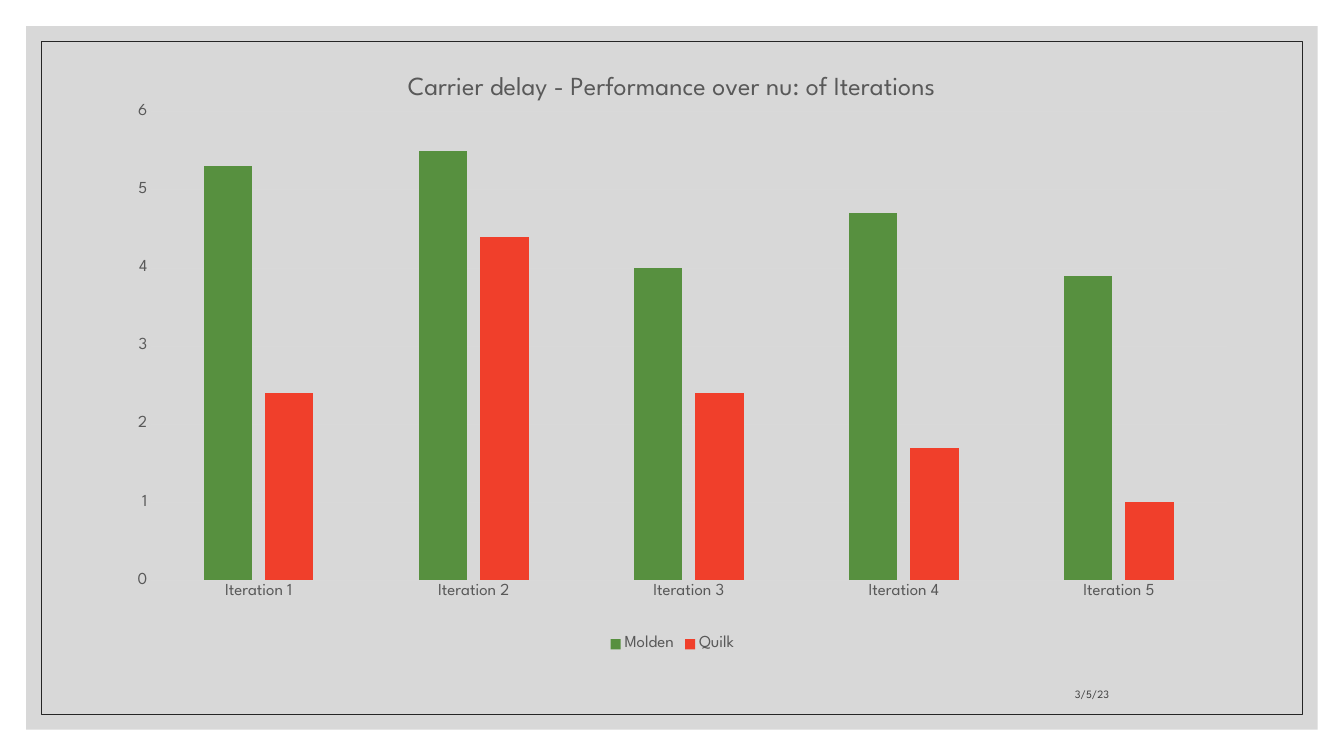
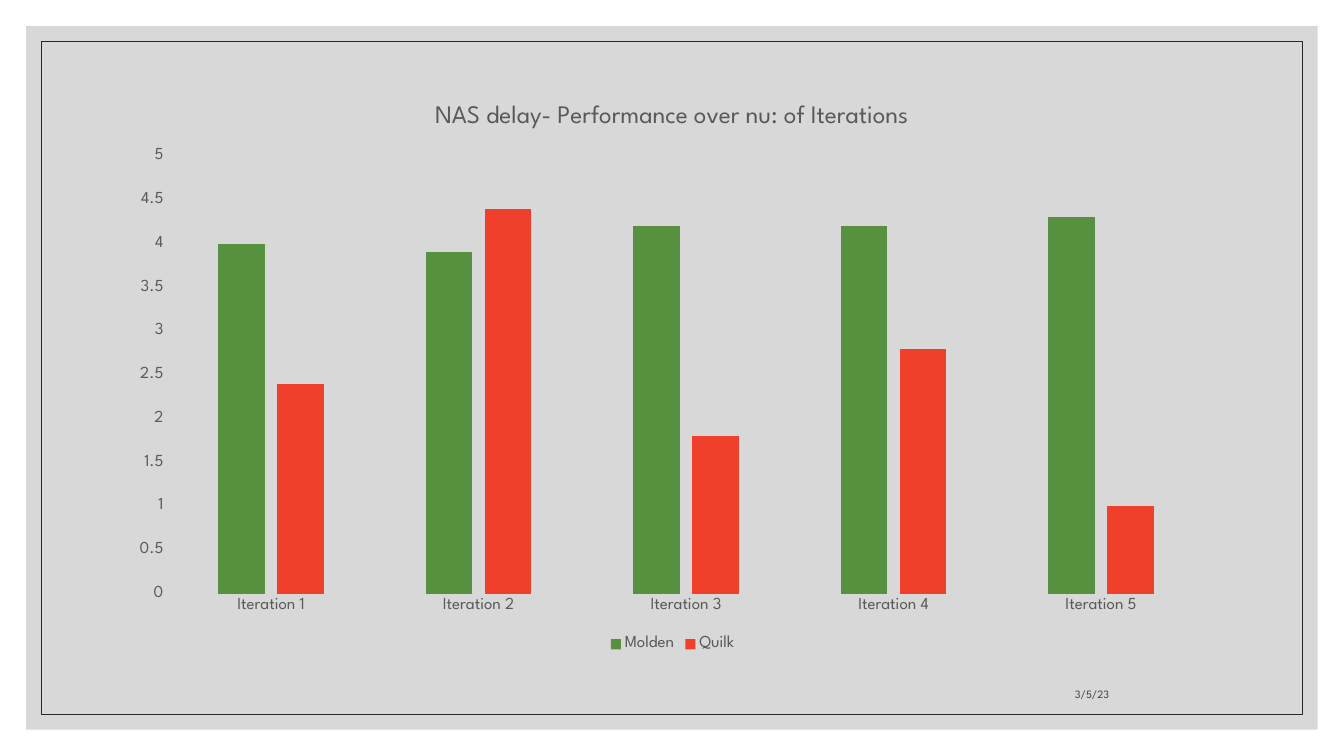
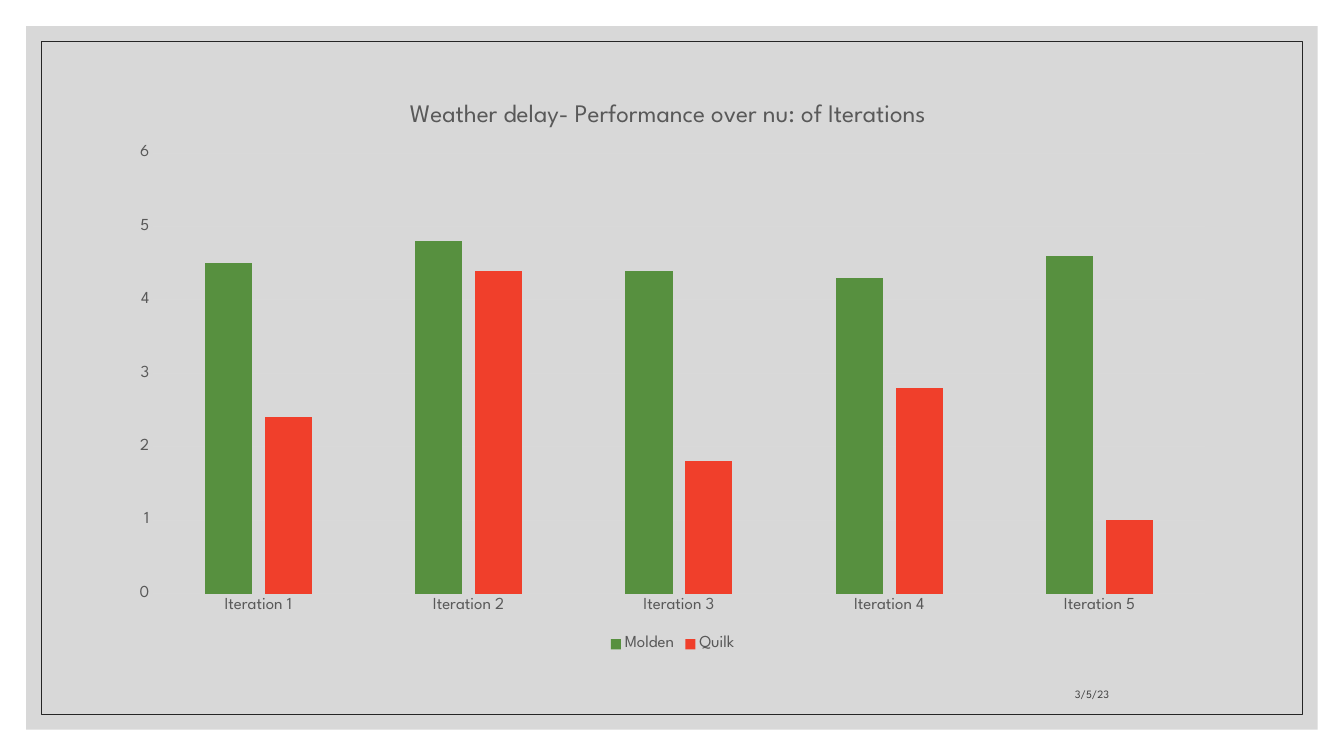
from lxml.etree import SubElement
from pptx import Presentation
from pptx.chart.data import CategoryChartData
from pptx.dml.color import RGBColor
from pptx.enum.chart import XL_CHART_TYPE, XL_LEGEND_POSITION, XL_TICK_MARK
from pptx.enum.shapes import MSO_SHAPE
from pptx.enum.text import MSO_ANCHOR, PP_ALIGN
from pptx.oxml import parse_xml
from pptx.oxml.ns import nsdecls, qn
from pptx.util import Inches, Pt

SILVER = RGBColor(0xBF, 0xBF, 0xBF)
INK = RGBColor(0x26, 0x26, 0x26)
DUSK = RGBColor(0x40, 0x40, 0x40)
GRAY = RGBColor(0x59, 0x59, 0x59)
PALE = RGBColor(0xD9, 0xD9, 0xD9)
BLACK = RGBColor(0, 0, 0)
GREEN = RGBColor(0x57, 0x90, 0x3F)
RED = RGBColor(0xF0, 0x3F, 0x2B)
FACE = "League Spartan"
WIDE, TALL = 13.33, 7.5
LEFT, WIDTH, BASE = 1.17, 11, 6.51
COLORS = {"Molden": GREEN, "Quilk": RED}

CHARTS = [
    {
        "title": "Carrier delay - Performance over nu: of Iterations",
        "size": 18.6,
        "top": 0.5,
        "spot": (2.83, 0.18),
        "plot": (0.33, 0.61, 10.67, 4.65),
        "axis": (6, 1),
        "Molden": (5.3, 5.5, 4, 4.7, 3.9),
        "Quilk": (2.4, 4.4, 2.4, 1.7, 1),
    },
    {
        "title": "NAS delay- Performance over nu: of Iterations",
        "size": 18,
        "top": 0.81,
        "spot": (3.1, 0.16),
        "plot": (0.49, 0.74, 10.29, 4.34),
        "axis": (5, 0.5),
        "Molden": (4, 3.9, 4.2, 4.2, 4.3),
        "Quilk": (2.4, 4.4, 1.8, 2.8, 1),
    },
    {
        "title": "Weather delay- Performance over nu: of Iterations",
        "size": 18,
        "top": 0.81,
        "spot": (2.85, 0.15),
        "plot": (0.35, 0.71, 10.43, 4.37),
        "axis": (6, 1),
        "Molden": (4.5, 4.8, 4.4, 4.3, 4.6),
        "Quilk": (2.4, 4.4, 1.8, 2.8, 1),
    },
]


def style(font, size, color):
    font.name = FACE
    font.size = Pt(size)
    font.bold = False
    font.color.rgb = color


def add_panel(slide, inset):
    panel = slide.shapes.add_shape(
        MSO_SHAPE.RECTANGLE, Inches(inset), Inches(inset),
        Inches(WIDE - 2 * inset), Inches(TALL - 2 * inset))
    panel.shadow.inherit = False
    return panel


def add_frame(slide):
    band = add_panel(slide, 0.26)
    band.fill.solid()
    band.fill.fore_color.rgb = SILVER
    band.line.fill.background()
    tint = band.element.find(".//" + qn("a:srgbClr"))
    SubElement(tint, qn("a:alpha")).set("val", "60000")
    rim = add_panel(slide, 0.41)
    rim.fill.background()
    rim.line.color.rgb = INK
    rim.line.width = Pt(0.5)


def add_date(slide, text):
    box = slide.shapes.add_textbox(
        Inches(7.94), Inches(6.6), Inches(3.16), Inches(0.4))
    frame = box.text_frame
    frame.word_wrap = True
    frame.vertical_anchor = MSO_ANCHOR.BOTTOM
    frame.text = text
    line = frame.paragraphs[0]
    line.alignment = PP_ALIGN.RIGHT
    style(line.runs[0].font, 8, DUSK)


def set_layout(node, index, rect, height, inner=False):
    for old in node.findall(qn("c:layout")):
        node.remove(old)
    layout = parse_xml(f"<c:layout {nsdecls('c')}><c:manualLayout/></c:layout>")
    parts = [("layoutTarget", "inner")] if inner else []
    parts += [("xMode", "edge"), ("yMode", "edge")]
    parts += [(key, str(value / full)) for key, value, full
              in zip("xywh", rect, (WIDTH, height, WIDTH, height))]
    for key, value in parts:
        SubElement(layout[0], qn("c:" + key)).set("val", value)
    node.insert(index, layout)


def style_axis(axis):
    axis.major_tick_mark = XL_TICK_MARK.NONE
    axis.minor_tick_mark = XL_TICK_MARK.NONE
    style(axis.tick_labels.font, 12, GRAY)


def style_line(line):
    line.color.rgb = PALE
    line.width = Pt(0.75)


def set_axes(chart, top, step):
    style_axis(chart.category_axis)
    style_line(chart.category_axis.format.line)
    scale = chart.value_axis
    style_axis(scale)
    scale.minimum_scale = 0
    scale.maximum_scale = top
    scale.major_unit = step
    scale.format.line.fill.background()
    style_line(scale.major_gridlines.format.line)


def add_columns(slide, item):
    height = BASE - item["top"]
    data = CategoryChartData()
    data.categories = [f"Iteration {n}" for n in range(1, 6)]
    for name in COLORS:
        data.add_series(name, item[name])
    chart = slide.shapes.add_chart(
        XL_CHART_TYPE.COLUMN_CLUSTERED, Inches(LEFT), Inches(item["top"]),
        Inches(WIDTH), Inches(height), data).chart
    style(chart.font, 10, BLACK)
    set_axes(chart, *item["axis"])

    plot = chart.plots[0]
    plot.vary_by_categories = False
    plot.gap_width = 219
    plot.overlap = -27
    for series in plot.series:
        series.invert_if_negative = False
        series.format.fill.solid()
        series.format.fill.fore_color.rgb = COLORS[series.name]

    chart.has_legend = True
    chart.legend.position = XL_LEGEND_POSITION.BOTTOM
    chart.legend.include_in_layout = False
    style(chart.legend.font, 12, GRAY)

    chart.has_title = True
    frame = chart.chart_title.text_frame
    frame.text = item["title"]
    style(frame.paragraphs[0].runs[0].font, item["size"], GRAY)

    root = chart.element.find(qn("c:chart"))
    set_layout(root.find(qn("c:title")), 1, item["spot"], height)
    set_layout(root.find(qn("c:plotArea")), 0, item["plot"], height, True)


def main():
    deck = Presentation()
    deck.slide_width = Inches(WIDE)
    deck.slide_height = Inches(TALL)
    for item in CHARTS:
        slide = deck.slides.add_slide(deck.slide_layouts[6])
        add_frame(slide)
        add_columns(slide, item)
        add_date(slide, "3/5/23")
    deck.save("out.pptx")


if __name__ == "__main__":
    main()
